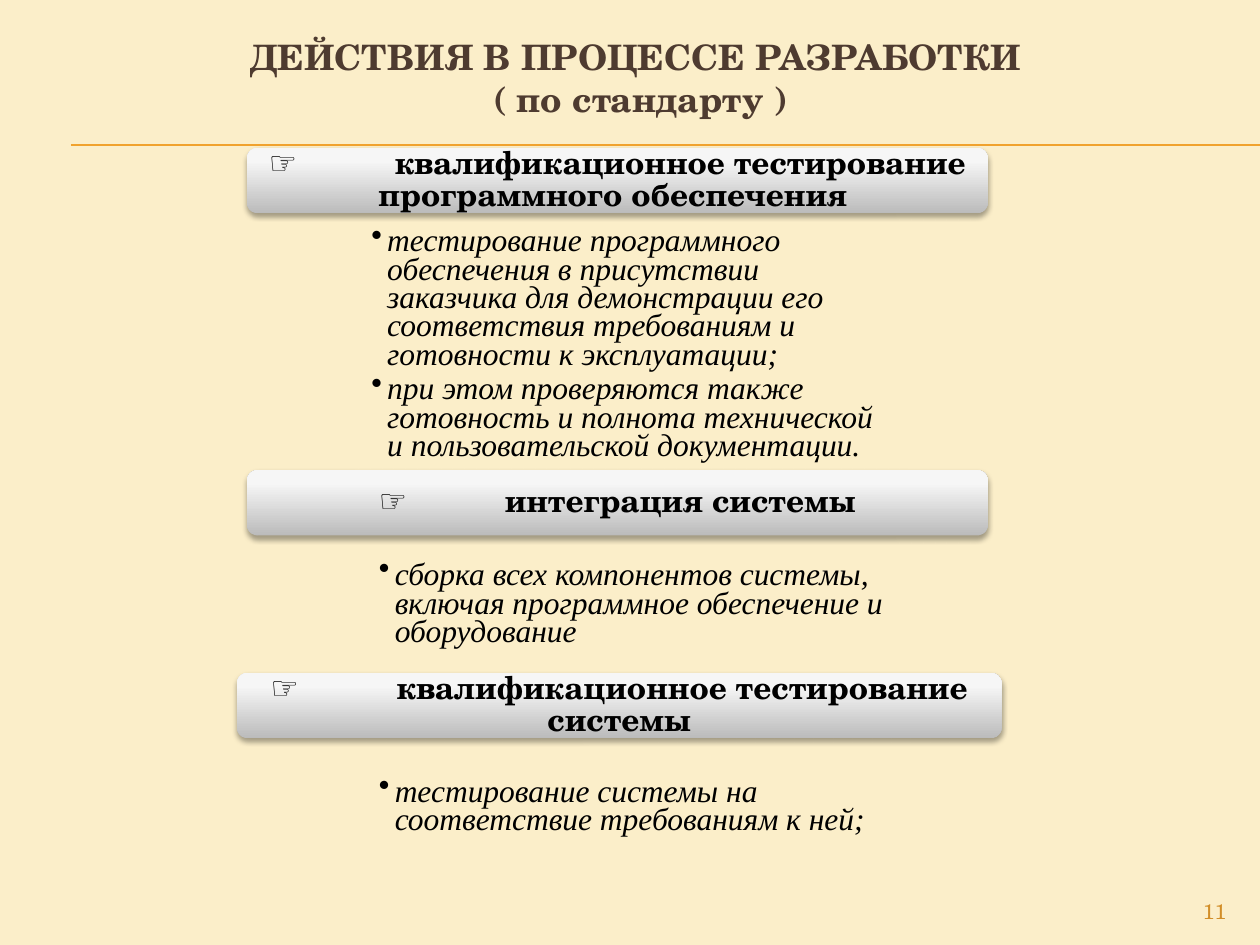
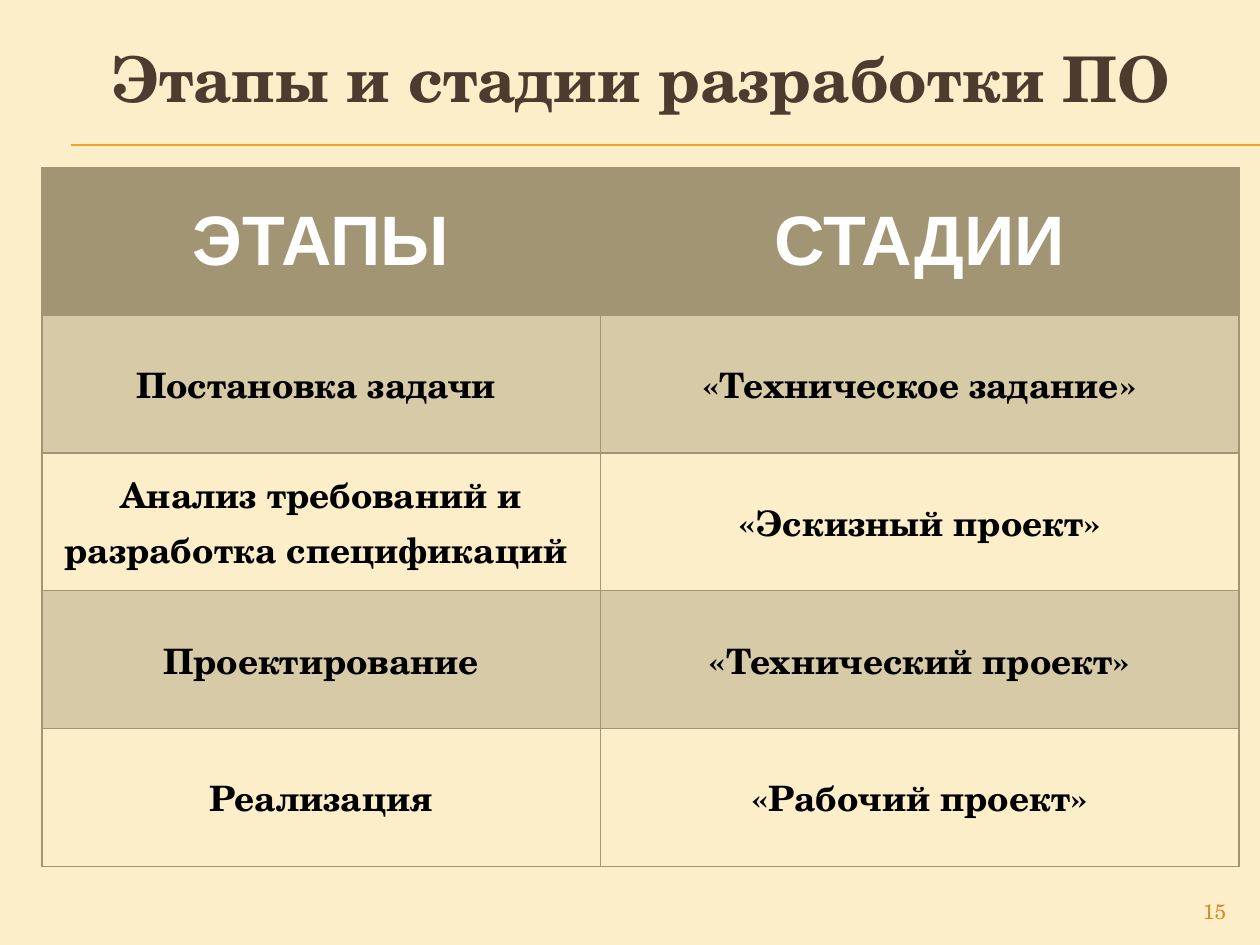
from lxml import etree
from pptx import Presentation
from pptx.dml.color import RGBColor
from pptx.enum import shapes, text
from pptx.oxml import ns
from pptx.util import Pt

BACKGROUND = RGBColor(0xFB, 0xEE, 0xC9)
BROWN = RGBColor(0x4E, 0x3B, 0x30)
ORANGE = RGBColor(0xF0, 0xA2, 0x2E)
DARK_ORANGE = RGBColor(0xD2, 0x8E, 0x28)
OLIVE = RGBColor(0xA1, 0x95, 0x74)
BLACK = RGBColor(0, 0, 0)
WHITE = RGBColor(0xFF, 0xFF, 0xFF)
SILVER_STOPS = ((0, RGBColor(0xBB, 0xBB, 0xBB)),
                (80, RGBColor(0xF6, 0xF6, 0xF6)),
                (100, RGBColor(0xF7, 0xF7, 0xF7)))

SERIF = "TeX Gyre Schola"
ROMAN = "Times New Roman"
SANS = "Arial"

PAGE_WIDTH, PAGE_HEIGHT = 720, 540
TITLE_BOX = (24, 11, 684, 66.2)
NUMBER_BOX = (648, 509.8, 59.8, 19.4)
RULE_LEFT, RULE_TOPS = 40.5, (82.9, 83.2)

# Each step: heading, heading box, bullets, bullet box
STEPS = (
    ("квалификационное тестирование программного обеспечения ",
     (141.1, 84.5, 423.4, 37.4),
     ("тестирование программного обеспечения в присутствии заказчика для "
      "демонстрации его соответствия требованиям и готовности к эксплуатации;",
      "при этом проверяются также готовность и полнота технической и "
      "пользовательской документации."),
     (205.2, 127.4, 312.5, 37.4)),
    ("интеграция системы", (141.1, 268.6, 423.4, 37.4),
     ("сборка всех компонентов системы, включая программное обеспечение "
      "и оборудование",),
     (209.5, 318.2, 312.5, 37.4)),
    ("квалификационное тестирование системы", (135.4, 384.5, 437, 37.4),
     ("тестирование системы на соответствие требованиям к ней;",),
     (209.5, 442.1, 312.5, 37.4)),
)

TABLE_BOX = (24, 95.8, 684, 399.6)
STAGE_COLUMN, HEADER_HEIGHT = 319, 84.2
STAGES = (
    ("ЭТАПЫ", "СТАДИИ"),
    ("Постановка задачи ", "«Техническое задание»"),
    ("Анализ требований и разработка спецификаций ", "«Эскизный проект»"),
    ("Проектирование", "«Технический проект»"),
    ("Реализация", "«Рабочий проект»"),
)


def points(box):
    return [Pt(length) for length in box]


def child(parent, tag, **attributes):
    """Append a DrawingML element, given its tag without prefix."""
    element = etree.SubElement(parent, ns.qn("a:" + tag))
    for name, value in attributes.items():
        element.set(name, str(value))
    return element


def add_span(para, words, size, color, font=SERIF, bold=False, italic=False):
    span = para.add_run()
    span.text = words
    span.font.size = Pt(size)
    span.font.name = font
    span.font.color.rgb = color
    span.font.bold = bold
    span.font.italic = italic


def add_text_box(page, box, anchor=text.MSO_ANCHOR.TOP):
    frame = page.shapes.add_textbox(*points(box)).text_frame
    frame.word_wrap = True
    frame.vertical_anchor = anchor
    return frame


def add_page(deck, title_lines, title_size, number):
    """Add a page with the shared background, rule, title and number."""
    page = deck.slides.add_slide(deck.slide_layouts[6])
    page.background.fill.solid()
    page.background.fill.fore_color.rgb = BACKGROUND
    for top in RULE_TOPS:
        rule = page.shapes.add_connector(
            shapes.MSO_CONNECTOR.STRAIGHT,
            *points((RULE_LEFT, top, PAGE_WIDTH, top)))
        rule.line.color.rgb = ORANGE
        rule.line.width = Pt(0.75)
        child(rule._element.spPr, "effectLst")

    para = add_text_box(page, NUMBER_BOX).paragraphs[0]
    para.alignment = text.PP_ALIGN.RIGHT
    add_span(para, str(number), 12, DARK_ORANGE)

    para = add_text_box(page, TITLE_BOX, text.MSO_ANCHOR.MIDDLE).paragraphs[0]
    para.alignment = text.PP_ALIGN.CENTER
    for index, line in enumerate(title_lines):
        if index:
            para.add_line_break()
        add_span(para, line, title_size, BROWN, bold=True)
    return page


def style_silver(plate):
    """Give the plate its vertical gradient and soft shadow."""
    plate.line.fill.background()
    plate.shadow.inherit = False
    properties = plate._element.spPr
    gradient = etree.Element(ns.qn("a:gradFill"), rotWithShape="1")
    stops = child(gradient, "gsLst")
    for position, color in SILVER_STOPS:
        child(child(stops, "gs", pos=position * 1000), "srgbClr", val=color)
    child(gradient, "lin", ang=270 * 60000, scaled=0)
    properties.find(ns.qn("a:ln")).addprevious(gradient)

    shadow = child(properties.find(ns.qn("a:effectLst")), "outerShdw",
                   blurRad=Pt(3.1), dist=Pt(1.8), dir=90 * 60000,
                   rotWithShape=0)
    child(child(shadow, "srgbClr", val=BLACK), "alpha", val=35000)


def add_step_heading(page, words, box):
    plate = page.shapes.add_shape(
        shapes.MSO_SHAPE.ROUNDED_RECTANGLE, *points(box))
    style_silver(plate)
    frame = plate.text_frame
    frame.word_wrap = True
    frame.vertical_anchor = text.MSO_ANCHOR.MIDDLE
    para = frame.paragraphs[0]
    para.alignment = text.PP_ALIGN.CENTER
    para.line_spacing = 0.85
    tabs = child(para._p.get_or_add_pPr(), "tabLst")
    child(tabs, "tab", pos=Pt(72), algn="l")
    add_span(para, "☞\t", 18, BLACK)
    add_span(para, words, 18, BLACK, bold=True)


def add_bullets(page, items, box):
    frame = add_text_box(page, box)
    for index, item in enumerate(items):
        para = frame.add_paragraph() if index else frame.paragraphs[0]
        para.line_spacing = 0.75
        para.space_before = Pt(3.6 if index else 0)
        properties = para._p.get_or_add_pPr()
        properties.set("marL", str(Pt(9)))
        properties.set("indent", str(Pt(-9)))
        child(child(properties, "buClr"), "srgbClr", val=BLACK)
        child(properties, "buChar", char="•")
        add_span(para, item, 18, BLACK, ROMAN, italic=True)


def style_cell(cell, shade):
    """Fill the cell with olive at a percentage, and border it."""
    properties = cell._tc.get_or_add_tcPr()
    if shade:
        cell.fill.solid()
        cell.fill.fore_color.rgb = OLIVE
        if shade < 100:
            color = properties.find(".//" + ns.qn("a:srgbClr"))
            child(color, "alpha", val=shade * 1000)
    else:
        cell.fill.background()
    for index, side in enumerate(("lnL", "lnR", "lnT", "lnB")):
        border = child(properties, side, w=Pt(0.75))
        child(child(border, "solidFill"), "srgbClr", val=OLIVE)
        properties.insert(index, border)


def add_stage_table(page, box):
    width, height = box[2:]
    table = page.shapes.add_table(len(STAGES), 2, *points(box)).table
    table.first_row = table.horz_banding = False
    table.columns[0].width = Pt(STAGE_COLUMN)
    table.columns[1].width = Pt(width - STAGE_COLUMN)
    row_height = (height - HEADER_HEIGHT) / (len(STAGES) - 1)
    for row, labels in enumerate(STAGES):
        table.rows[row].height = Pt(row_height if row else HEADER_HEIGHT)
        shade = 100 if row == 0 else 40 * (row % 2)
        for column, label in enumerate(labels):
            cell = table.cell(row, column)
            style_cell(cell, shade)
            cell.vertical_anchor = text.MSO_ANCHOR.MIDDLE
            para = cell.text_frame.paragraphs[0]
            para.alignment = text.PP_ALIGN.CENTER
            if row:
                add_span(para, label, 20, BLACK, bold=True)
            else:
                add_span(para, label, 40, WHITE, SANS, bold=True)


def main():
    deck = Presentation()
    deck.slide_width, deck.slide_height = Pt(PAGE_WIDTH), Pt(PAGE_HEIGHT)

    page = add_page(deck, ("ДЕЙСТВИЯ В ПРОЦЕССЕ РАЗРАБОТКИ ",
                           "( по стандарту )"), 20, 11)
    for heading, heading_box, items, items_box in STEPS:
        add_step_heading(page, heading, heading_box)
        add_bullets(page, items, items_box)

    page = add_page(deck, ("Этапы и стадии разработки ПО",), 36, 15)
    add_stage_table(page, TABLE_BOX)

    deck.save("out.pptx")


if __name__ == "__main__":
    main()
